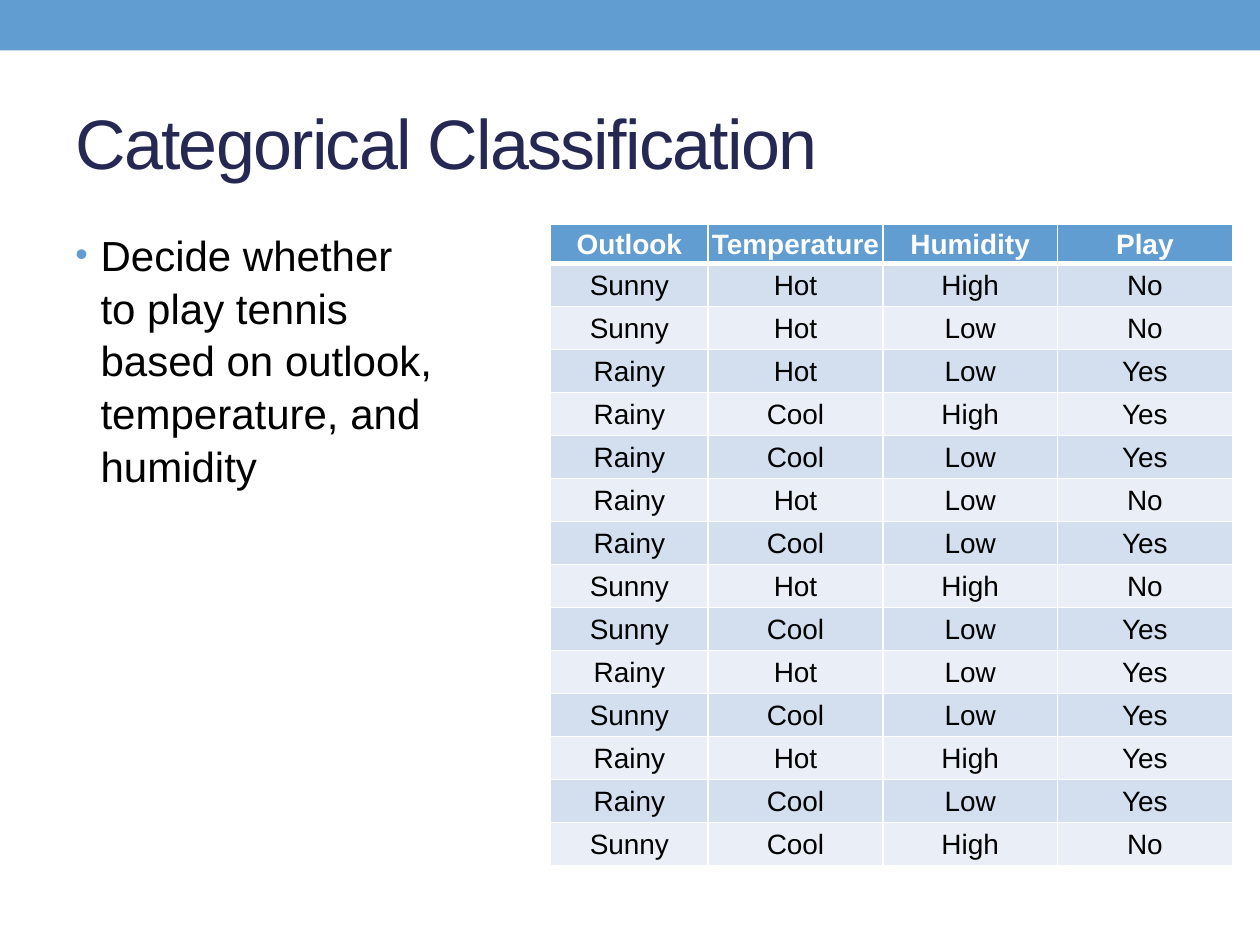
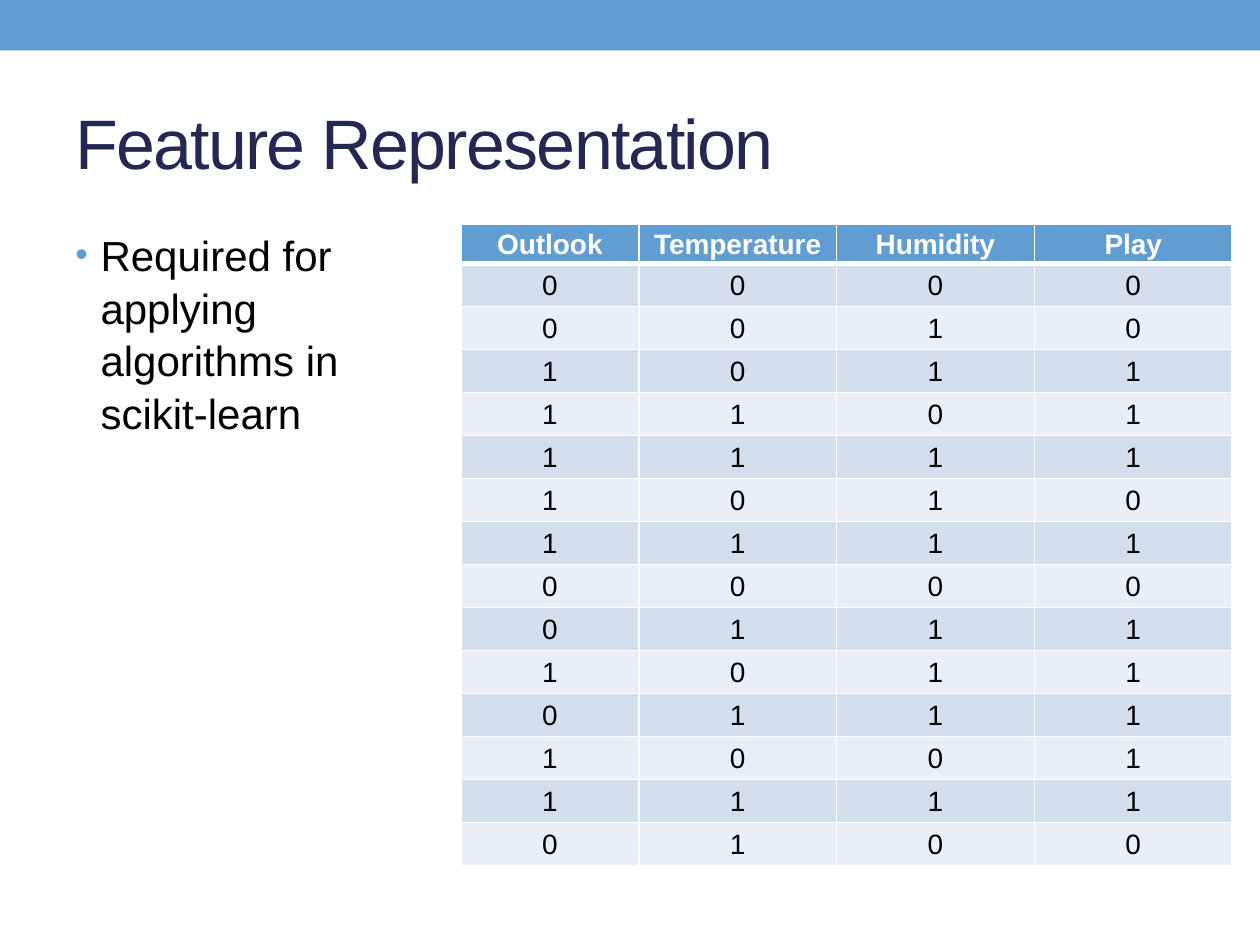
from lxml.etree import SubElement
from pptx import Presentation
from pptx.dml.color import RGBColor
from pptx.enum.shapes import MSO_SHAPE
from pptx.enum.text import MSO_ANCHOR, PP_ALIGN
from pptx.oxml.ns import qn
from pptx.util import Inches, Pt

COLORS = {
    "accent": "629DD1",
    "title": "242852",
    "text": "000000",
    "white": "FFFFFF",
    "odd row": "D3DFEE",
    "even row": "EAEFF7",
}
FONT = "Arial"
TABLE_TOP, TABLE_RIGHT, TABLE_HEIGHT = 1.78, 9.78, 5.09
HEADER_HEIGHT = 0.31

HEADERS = ["Outlook", "Temperature", "Humidity", "Play"]
DAYS = [
    "Sunny Hot High No",
    "Sunny Hot Low No",
    "Rainy Hot Low Yes",
    "Rainy Cool High Yes",
    "Rainy Cool Low Yes",
    "Rainy Hot Low No",
    "Rainy Cool Low Yes",
    "Sunny Hot High No",
    "Sunny Cool Low Yes",
    "Rainy Hot Low Yes",
    "Sunny Cool Low Yes",
    "Rainy Hot High Yes",
    "Rainy Cool Low Yes",
    "Sunny Cool High No",
]
CODES = {"Sunny": "0", "Rainy": "1", "Hot": "0", "Cool": "1",
         "High": "0", "Low": "1", "No": "0", "Yes": "1"}
categories = [day.split() for day in DAYS]
features = [[CODES[value] for value in day] for day in categories]

PAGES = [
    {"title": "Categorical Classification",
     "bullet": "Decide whether to play tennis based on outlook, "
               "temperature, and humidity",
     "body width": 3.08, "table left": 4.37, "first column": 1.25,
     "rows": categories},
    {"title": "Feature Representation",
     "bullet": "Required for applying algorithms in scikit-learn",
     "body width": 3.16, "table left": 3.66, "first column": 1.41,
     "rows": features},
]


def add_span(para, text, size, color, bold=False):
    """Add one styled run to a paragraph and return it."""
    span = para.add_run()
    span.text = text
    span.font.name = FONT
    span.font.size = Pt(size)
    span.font.bold = bold
    span.font.color.rgb = RGBColor.from_string(COLORS[color])
    return span


def add_border(cell, side, width):
    """Draw a white line on one side (L, R, T or B) of a table cell."""
    line = SubElement(cell._tc.get_or_add_tcPr(), qn(f"a:ln{side}"),
                      w=str(Pt(width)))
    fill = SubElement(line, qn("a:solidFill"))
    SubElement(fill, qn("a:srgbClr"), val=COLORS["white"])


deck = Presentation()
deck.slide_width, deck.slide_height = Inches(10), Inches(7.5)

for content in PAGES:
    page = deck.slides.add_slide(deck.slide_layouts[6])

    # Top band
    band = page.shapes.add_shape(MSO_SHAPE.RECTANGLE, 0, 0,
                                 deck.slide_width, Inches(0.4))
    band.shadow.inherit = False
    band.fill.solid()
    band.fill.fore_color.rgb = RGBColor.from_string(COLORS["accent"])
    band.line.fill.background()

    # Title
    box = page.shapes.add_textbox(Inches(0.5), Inches(0.58),
                                  Inches(9), Inches(1.08))
    box.text_frame.word_wrap = True
    box.text_frame.vertical_anchor = MSO_ANCHOR.MIDDLE
    span = add_span(box.text_frame.paragraphs[0], content["title"], 40, "title")
    span.font._element.set("spc", "-100")

    # Bulleted text
    box = page.shapes.add_textbox(Inches(0.5), Inches(1.75),
                                  Inches(content["body width"]), Inches(5.33))
    box.text_frame.word_wrap = True
    para = box.text_frame.paragraphs[0]
    para.line_spacing = 1.05
    para.space_before = Pt(4.8)
    add_span(para, content["bullet"], 24, "text")
    settings = para._p.get_or_add_pPr()
    settings.set("marL", str(Inches(0.2)))
    settings.set("indent", str(Inches(-0.2)))
    bullet_color = SubElement(settings, qn("a:buClr"))
    SubElement(bullet_color, qn("a:srgbClr"), val=COLORS["accent"])
    SubElement(settings, qn("a:buSzPct"), val="85000")
    SubElement(settings, qn("a:buFont"), typeface=FONT)
    SubElement(settings, qn("a:buChar"), char="•")

    # Table: narrower first column, the others share the rest
    rows = [HEADERS] + content["rows"]
    width = TABLE_RIGHT - content["table left"]
    table = page.shapes.add_table(
        len(rows), len(HEADERS), Inches(content["table left"]),
        Inches(TABLE_TOP), Inches(width), Inches(TABLE_HEIGHT)).table
    table.horz_banding = False
    other_width = (width - content["first column"]) / (len(HEADERS) - 1)
    row_height = (TABLE_HEIGHT - HEADER_HEIGHT) / len(content["rows"])
    for index, column in enumerate(table.columns):
        column.width = Inches(other_width if index else content["first column"])

    for index, values in enumerate(rows):
        is_header = index == 0
        table.rows[index].height = Inches(HEADER_HEIGHT if is_header else row_height)
        fill = "accent" if is_header else "odd row" if index % 2 else "even row"
        for place, value in enumerate(values):
            cell = table.cell(index, place)
            cell.vertical_anchor = MSO_ANCHOR.MIDDLE
            cell.margin_left = cell.margin_right = cell.margin_top = Inches(0.01)
            cell.margin_bottom = 0
            for side in "LRTB":
                thick = (is_header and side == "B") or (index == 1 and side == "T")
                add_border(cell, side, 3 if thick else 1)
            cell.fill.solid()
            cell.fill.fore_color.rgb = RGBColor.from_string(COLORS[fill])
            para = cell.text_frame.paragraphs[0]
            para.alignment = PP_ALIGN.CENTER
            add_span(para, value, 16, "white" if is_header else "text", is_header)

deck.save("out.pptx")
